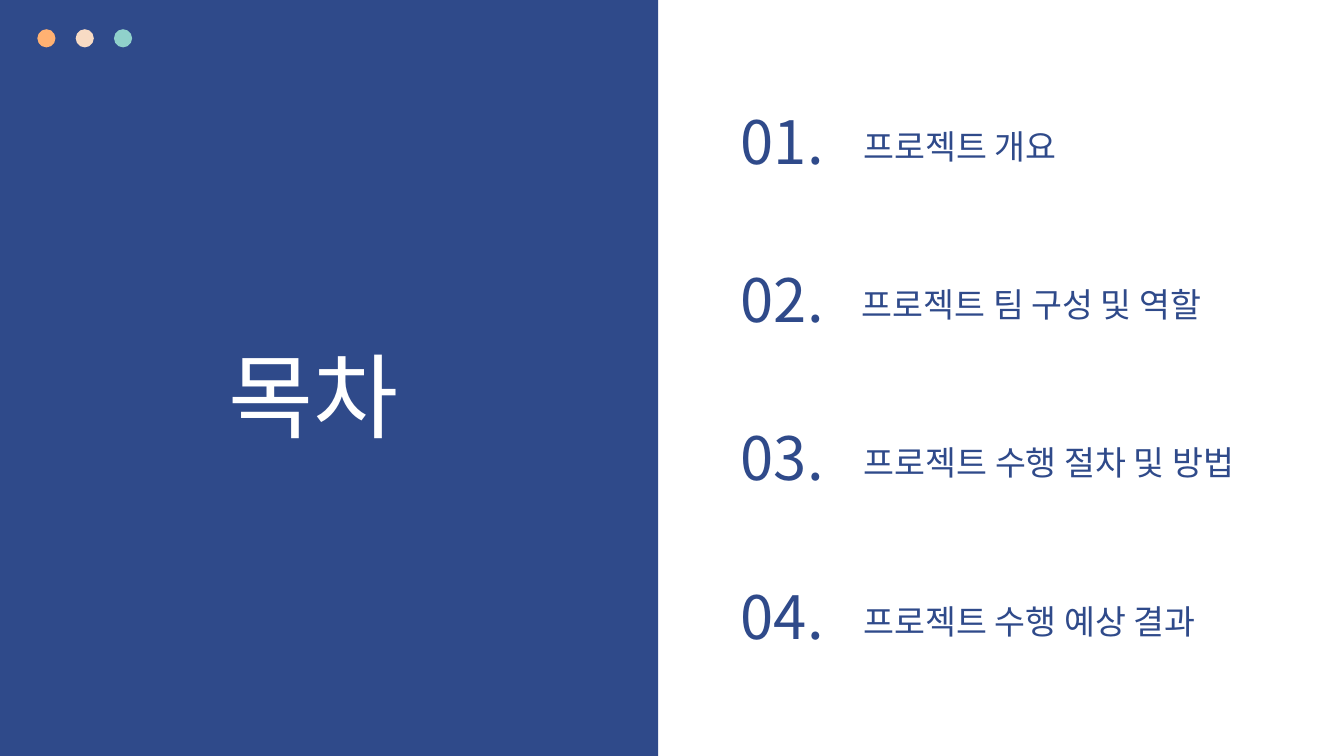
from dataclasses import dataclass

from lxml import etree
from pptx import Presentation
from pptx.dml.color import RGBColor
from pptx.enum.shapes import MSO_SHAPE
from pptx.enum.text import MSO_ANCHOR, MSO_AUTO_SIZE, PP_ALIGN
from pptx.oxml.ns import qn
from pptx.util import Emu, Inches, Pt

RECTANGLE, OVAL = MSO_SHAPE.RECTANGLE, MSO_SHAPE.OVAL
TOP, BOTTOM = MSO_ANCHOR.TOP, MSO_ANCHOR.BOTTOM
LEFT, CENTER = PP_ALIGN.LEFT, PP_ALIGN.CENTER
NO_AUTOFIT = MSO_AUTO_SIZE.NONE

SLIDE_WIDTH, SLIDE_HEIGHT = Inches(13.333), Inches(7.5)
TITLE_ONLY = 5


@dataclass(frozen=True)
class Theme:
    font: str = "Noto Sans CJK KR"
    navy: str = "2F4A8A"
    white: str = "FFFFFF"
    dots: tuple[str, ...] = ("FFB172", "F8DBC4", "90D1CB")
    title_size: float = 66
    number_size: float = 42.7
    topic_size: float = 24


@dataclass(frozen=True)
class Area:
    """Percentages of the slide's width and height."""

    left: float
    top: float
    width: float
    height: float

    def box(self) -> tuple[Emu, Emu, Emu, Emu]:
        return (
            Emu(round(SLIDE_WIDTH * self.left / 100)),
            Emu(round(SLIDE_HEIGHT * self.top / 100)),
            Emu(round(SLIDE_WIDTH * self.width / 100)),
            Emu(round(SLIDE_HEIGHT * self.height / 100)),
        )


@dataclass(frozen=True)
class Topic:
    name: str
    width: float
    left: float = 63.3


THEME = Theme()
TOPICS = (
    Topic("프로젝트 개요", 29.18),
    Topic("프로젝트 팀 구성 및 역할", 29.78, left=63.15),
    Topic("프로젝트 수행 절차 및 방법", 32.33),
    Topic("프로젝트 수행 예상 결과", 29.18),
)
ROW_PITCH = 20.93
DOT_PITCH = 2.85
DOT_WIDTH = 1.35
DOT_HEIGHT = DOT_WIDTH * SLIDE_WIDTH / SLIDE_HEIGHT


def write(holder, text: str, *, size: float, color: str, align=LEFT,
          anchor=TOP, inset: float = 0.13) -> None:
    frame = holder.text_frame
    frame.word_wrap = True
    frame.auto_size = NO_AUTOFIT
    frame.vertical_anchor = anchor
    frame.margin_left = frame.margin_right = Inches(inset)
    frame.margin_top = frame.margin_bottom = Inches(inset)
    paragraph = frame.paragraphs[0]
    paragraph.alignment = align
    run = paragraph.add_run()
    run.text = text
    run.font.size = Pt(size)
    run.font.bold = False
    run.font.color.rgb = RGBColor.from_string(color)
    run.font.name = THEME.font
    east_asian = etree.SubElement(run.font._element, qn("a:ea"))
    east_asian.set("typeface", THEME.font)


def draw(slide, kind, area: Area, color: str) -> None:
    figure = slide.shapes.add_shape(kind, *area.box())
    figure.shadow.inherit = False
    figure.fill.solid()
    figure.fill.fore_color.rgb = RGBColor.from_string(color)
    figure.line.fill.background()


def add_heading(slide) -> None:
    heading = slide.shapes.title
    area = Area(16.28, 43.47, 19.2, 16.13)
    heading.left, heading.top, heading.width, heading.height = area.box()
    write(heading, "목차", size=THEME.title_size, color=THEME.white, inset=0.1)
    heading.element.getparent().append(heading.element)


def add_topic(slide, row: int, topic: Topic) -> None:
    offset = row * ROW_PITCH
    number_area = Area(53.25, 13.73 + offset, 9.9, 11.33)
    topic_area = Area(topic.left, 14.93 + offset, topic.width, 9.07)
    number = slide.shapes.add_textbox(*number_area.box())
    write(number, f"{row + 1:02}.", size=THEME.number_size, color=THEME.navy,
          align=CENTER, anchor=BOTTOM)
    label = slide.shapes.add_textbox(*topic_area.box())
    write(label, topic.name, size=THEME.topic_size, color=THEME.navy)


def main() -> None:
    deck = Presentation()
    deck.slide_width, deck.slide_height = SLIDE_WIDTH, SLIDE_HEIGHT
    slide = deck.slides.add_slide(deck.slide_layouts[TITLE_ONLY])
    draw(slide, RECTANGLE, Area(0, 0, 48.98, 100), THEME.navy)
    for column, color in enumerate(THEME.dots):
        dot_area = Area(2.78 + column * DOT_PITCH, 3.87, DOT_WIDTH, DOT_HEIGHT)
        draw(slide, OVAL, dot_area, color)
    add_heading(slide)
    for row, topic in enumerate(TOPICS):
        add_topic(slide, row, topic)
    deck.save("out.pptx")


if __name__ == "__main__":
    main()
